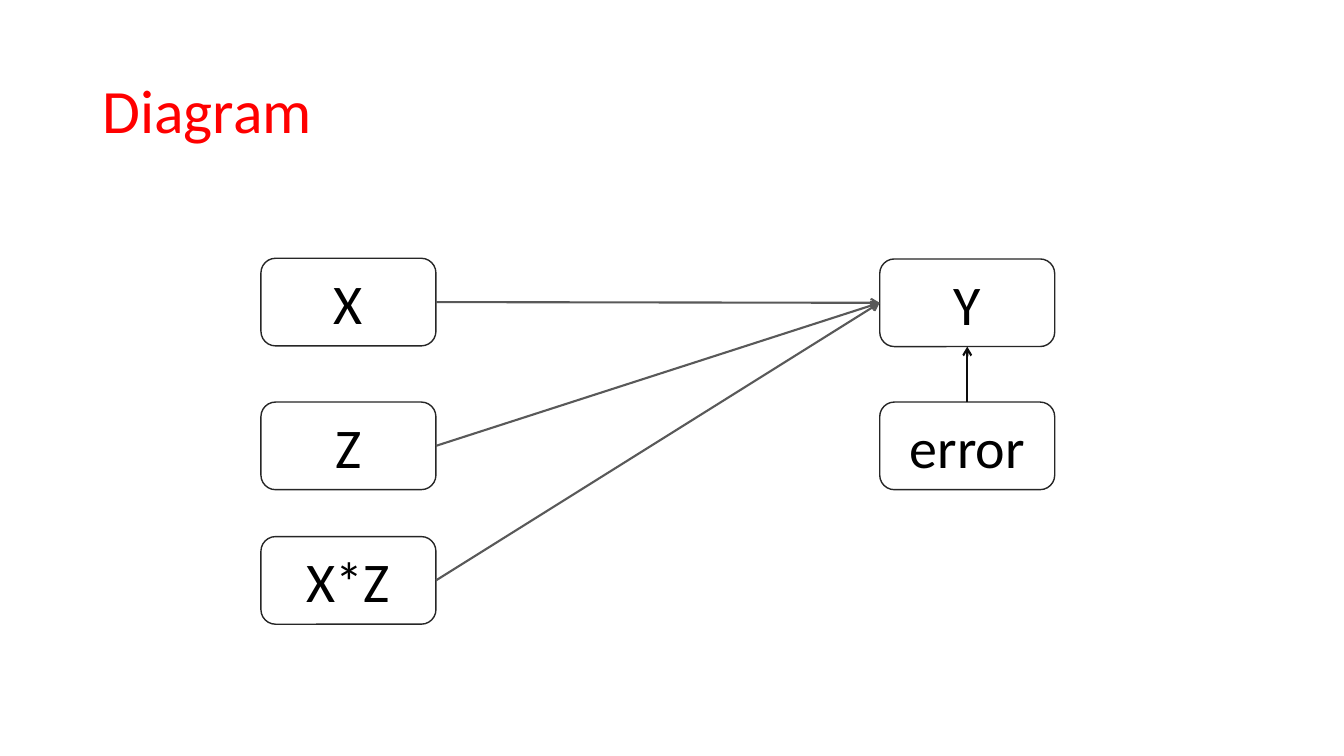
import dataclasses

import lxml.etree
import pptx
import pptx.dml.color
import pptx.enum.shapes
import pptx.enum.text
import pptx.oxml.ns
import pptx.util

Pt = pptx.util.Pt
TOP, LEFT, BOTTOM, RIGHT = range(4)


@dataclasses.dataclass(frozen=True)
class Theme:
    font: str = "Calibri"
    title_size: float = 44
    box_size: float = 40
    title_color: str = "FF0000"
    text_color: str = "000000"
    box_line: str = "262626"
    effect_line: str = "595959"
    error_line: str = "0D0D0D"
    box_line_width: float = 1
    arrow_width: float = 1.5


class DiagramSlide:
    def __init__(self, presentation, theme):
        self.theme = theme
        self.slide = presentation.slides.add_slide(presentation.slide_layouts[5])

    def set_text(self, shape, text, size, color, alignment):
        frame = shape.text_frame
        frame.text = text
        frame.word_wrap = True
        frame.auto_size = pptx.enum.text.MSO_AUTO_SIZE.NONE
        frame.vertical_anchor = pptx.enum.text.MSO_ANCHOR.MIDDLE
        paragraph = frame.paragraphs[0]
        paragraph.alignment = alignment
        font = paragraph.runs[0].font
        font.name = self.theme.font
        font.size = Pt(size)
        font.color.rgb = pptx.dml.color.RGBColor.from_string(color)
        return paragraph

    def title(self, text, left, top, width, height):
        shape = self.slide.shapes.title
        shape.left, shape.top = Pt(left), Pt(top)
        shape.width, shape.height = Pt(width), Pt(height)
        paragraph = self.set_text(shape, text, self.theme.title_size,
                                  self.theme.title_color, pptx.enum.text.PP_ALIGN.LEFT)
        paragraph.line_spacing = 0.9

    def box(self, text, left, top, width=125, height=62.6):
        shape = self.slide.shapes.add_shape(
            pptx.enum.shapes.MSO_SHAPE.ROUNDED_RECTANGLE,
            Pt(left), Pt(top), Pt(width), Pt(height))
        shape.shadow.inherit = False
        shape.fill.background()
        self.style_line(shape.line, self.theme.box_line, self.theme.box_line_width)
        self.set_text(shape, text, self.theme.box_size, self.theme.text_color,
                      pptx.enum.text.PP_ALIGN.CENTER)
        return shape

    def style_line(self, line, color, width):
        line.color.rgb = pptx.dml.color.RGBColor.from_string(color)
        line.width = Pt(width)

    def arrow(self, start, start_side, end, end_side, color):
        """Join the sides of two boxes with an arrow pointing at the end box."""
        connector = self.slide.shapes.add_connector(
            pptx.enum.shapes.MSO_CONNECTOR.STRAIGHT, 0, 0, 0, 0)
        connector.begin_connect(start, start_side)
        connector.end_connect(end, end_side)
        self.style_line(connector.line, color, self.theme.arrow_width)
        qn = pptx.oxml.ns.qn
        properties = connector.element.find(qn("p:spPr"))
        lxml.etree.SubElement(properties.find(qn("a:ln")), qn("a:tailEnd"), type="arrow")
        lxml.etree.SubElement(properties, qn("a:effectLst"))


def main():
    presentation = pptx.Presentation()
    presentation.slide_width, presentation.slide_height = Pt(960), Pt(540)
    theme = Theme()
    diagram = DiagramSlide(presentation, theme)
    diagram.title("Diagram", 66, 28.8, 828, 104.4)

    predictor_left, outcome_left, second_row = 186.4, 628.4, 287.2
    outcome = diagram.box("Y", outcome_left, 185)
    error = diagram.box("error", outcome_left, second_row)
    for text, top in (("X", 184.5), ("Z", second_row), ("X*Z", 383.3)):
        predictor = diagram.box(text, predictor_left, top)
        diagram.arrow(predictor, RIGHT, outcome, LEFT, theme.effect_line)
    diagram.arrow(error, TOP, outcome, BOTTOM, theme.error_line)

    presentation.save("out.pptx")


if __name__ == "__main__":
    main()
